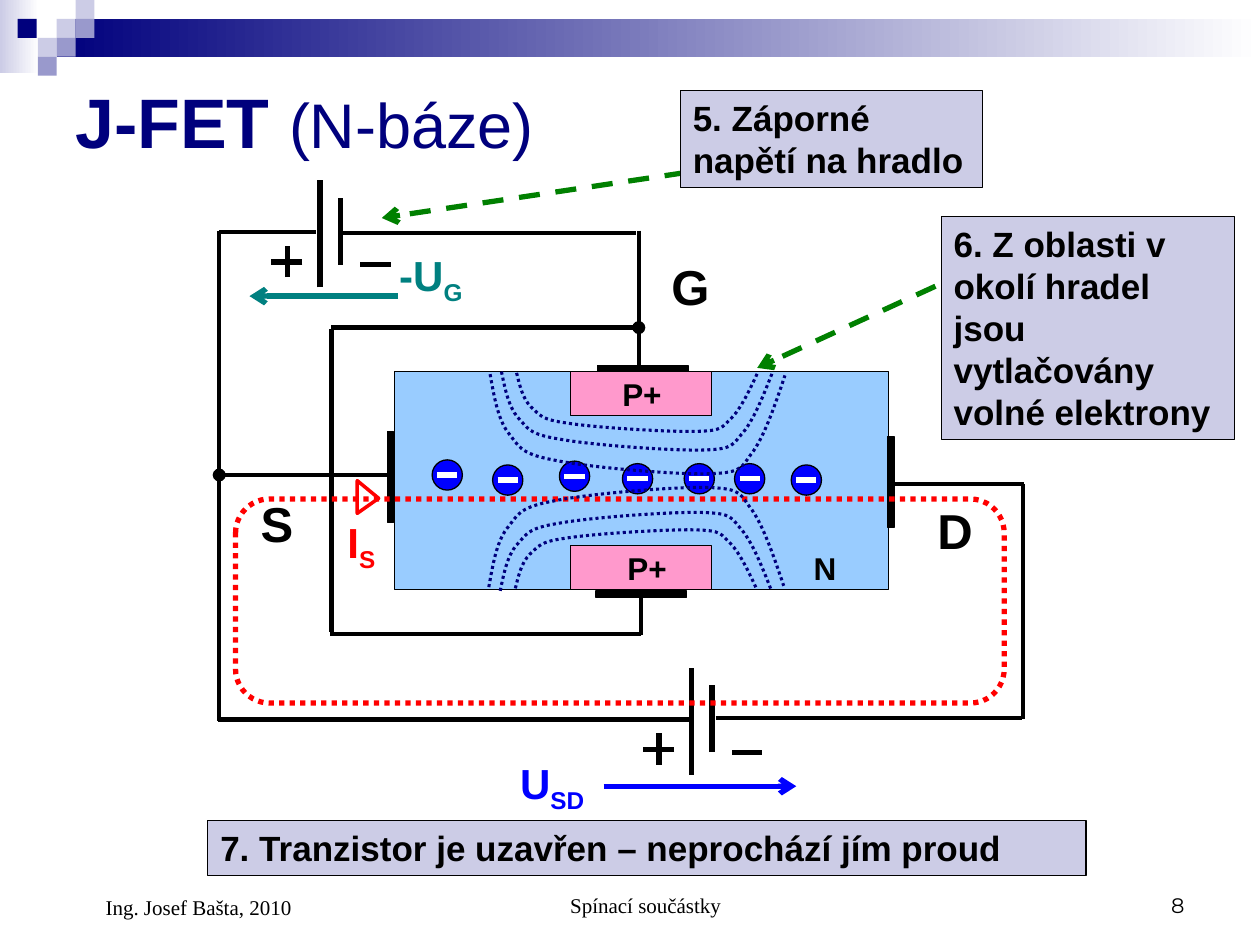
"""Build the slide about the closed N-base J-FET transistor."""
from lxml.etree import SubElement
from pptx import Presentation
from pptx.dml.color import RGBColor
from pptx.enum.dml import MSO_LINE
from pptx.enum.shapes import MSO_CONNECTOR, MSO_SHAPE
from pptx.enum.text import MSO_ANCHOR, MSO_AUTO_SIZE, PP_ALIGN
from pptx.oxml.ns import qn
from pptx.util import Inches, Pt

BLACK, WHITE, NAVY, LILAC, VIOLET = "000000", "FFFFFF", "00007D", "CCCCE6", "9999CC"
RED, BLUE, TEAL, GREEN, SKY, PINK = "FF0000", "0000FF", "008080", "008000", "99CCFF", "FF99CC"

FADES = [((0, 0, 0.31, 0.58), LILAC), ((0.45, 0.15, 9.55, 0.3), NAVY)]
MOSAIC_CELL = 0.15
MOSAIC = [(0.45, 0.15, LILAC), (0.6, 0, LILAC), (0.6, 0.15, VIOLET), (0.3, 0.3, LILAC),
          (0.14, 0.15, NAVY), (0.45, 0.3, VIOLET), (0.3, 0.45, VIOLET)]
TRANSISTOR = [
    ((3.13, 2.95, 3.92, 1.73), SKY),
    ((4.53, 4.33, 1.12, 0.35), PINK),
    ((4.53, 2.95, 1.12, 0.35), PINK),
    ((4.73, 4.69, 0.72, 0.05), BLACK),
    ((4.74, 2.9, 0.72, 0.05), BLACK),
]
SIDE_CONTACTS = [(2.74, 3.76, 0.72, 0.05), (6.71, 3.8, 0.72, 0.05)]
WIRES = [
    (3.1, 3.77, 1.73, 3.77), (8.13, 3.84, 7.04, 3.84), (5.07, 1.83, 5.07, 2.93),
    (5.09, 5.03, 2.62, 5.03), (5.09, 4.73, 5.09, 5.04), (2.63, 2.61, 2.63, 5.02),
    (1.73, 5.71, 5.49, 5.71), (5.68, 5.7, 8.11, 5.7), (8.12, 5.71, 8.12, 3.84),
    (1.74, 5.72, 1.74, 3.77), (2.72, 1.85, 5.05, 1.85), (1.74, 1.84, 2.51, 1.84),
]
NODE_WIRES = [(5.07, 2.6, 2.63, 2.6), (1.74, 3.77, 1.74, 1.83)]
BATTERY_ORIGINS = [(2.54, 1.43), (5.49, 5.3)]
BATTERY = [(0, 0.85, 0, 0), (0.16, 0.67, 0.16, 0.14), (-0.14, 0.65, -0.39, 0.65),
           (-0.26, 0.77, -0.26, 0.52), (0.32, 0.67, 0.56, 0.67)]
VOLTAGE_ARROWS = [((4.79, 6.24, 6.32, 6.24), BLUE), ((3.16, 2.35, 1.98, 2.35), TEAL)]
LABELS = [
    ((6.36, 4.31, 0.36, 0.4), "N", "", 18, BLACK),
    ((4.88, 4.31, 0.58, 0.4), "P+", "", 18, BLACK),
    ((4.84, 2.93, 0.58, 0.4), "P+", "", 18, BLACK),
    ((1.97, 3.87, 0.45, 0.57), "S", "", 28, BLACK),
    ((5.23, 1.99, 0.45, 0.57), "G", "", 28, BLACK),
    ((7.34, 3.92, 0.45, 0.57), "D", "", 28, BLACK),
    ((4.03, 5.96, 0.81, 0.56), "U", "SD", 24, BLUE),
    ((2.66, 4.05, 0.53, 0.56), "I", "S", 24, RED),
    ((3.07, 1.93, 0.81, 0.56), "-U", "G", 24, TEAL),
]
ELECTRON = 0.24
ELECTRONS = [(4.44, 3.66), (4.94, 3.68), (5.43, 3.68), (5.83, 3.68),
             (3.91, 3.69), (6.28, 3.69), (3.43, 3.65)]
FIELD_SIZE = (2.34, 0.8)
FIELD_CURVE = [(0, 0), (0.03, 0.17), (0.06, 0.35), (0.14, 0.46), (0.23, 0.57), (0.23, 0.63),
               (0.5, 0.68), (0.77, 0.74), (1.49, 0.8), (1.75, 0.79), (2.01, 0.78),
               (1.99, 0.74), (2.09, 0.61), (2.18, 0.48), (2.26, 0.25), (2.34, 0.01)]
FIELDS = [
    ((4.1, 2.96, 1.91, 0.47), False), ((4.09, 4.2, 1.91, 0.47), True),
    ((3.98, 2.95, 2.15, 0.63), False), ((3.97, 4.06, 2.15, 0.63), True),
    ((3.89, 2.97, 2.34, 0.8), False), ((3.88, 3.86, 2.34, 0.8), True),
]
POINTERS = [(5.44, 1.37, 3.03, 1.73), (7.69, 2.15, 6.01, 2.92)]
NOTES = [
    ((5.4, 0.72, 2.4, 0.77), "5. Záporné napětí na hradlo"),
    ((7.47, 1.72, 2.33, 1.77), "6. Z oblasti v okolí hradel jsou vytlačovány volné elektrony"),
    ((1.65, 6.51, 6.97, 0.44), "7. Tranzistor je uzavřen – neprochází jím proud"),
]
FOOTERS = [
    ((3.42, 6.83, 3.17, 0.5), "Spínací součástky", "Times New Roman", PP_ALIGN.CENTER, 0.24),
    ((7.17, 6.83, 2.33, 0.5), "8", "Montserrat", PP_ALIGN.RIGHT, 0),
    ((0.5, 6.83, 2.33, 0.52), "Ing. Josef Bašta, 2010", "Times New Roman", PP_ALIGN.LEFT, 0.24),
]


def rgb(color):
    return RGBColor.from_string(color)


def stroke(shape, color, width, dash=None):
    shape.line.color.rgb = rgb(color)
    shape.line.width = Pt(width)
    if dash:
        shape.line.dash_style = dash


def add_box(place, fill=None, line=None, width=0.75, kind=MSO_SHAPE.RECTANGLE, dash=None):
    box = slide.shapes.add_shape(kind, *map(Inches, place))
    box.shadow.inherit = False
    if fill:
        box.fill.solid()
        box.fill.fore_color.rgb = rgb(fill)
    else:
        box.fill.background()
    if line:
        stroke(box, line, width, dash)
    else:
        box.line.fill.background()
    return box


def add_line(ends, color=BLACK, width=2.5, dash=None, head=None, tail=None):
    line = slide.shapes.add_connector(MSO_CONNECTOR.STRAIGHT, *map(Inches, ends))
    SubElement(line._element.spPr, qn("a:effectLst"))
    stroke(line, color, width, dash)
    for tag, tip in (("a:headEnd", head), ("a:tailEnd", tail)):
        if tip:
            SubElement(line.line._get_or_add_ln(), qn(tag), type=tip)


def style(font, size, color, bold=True, name="Arial"):
    font.name, font.size, font.bold = name, Pt(size), bold
    font.color.rgb = rgb(color)


def add_text(place, wrap=True, anchor=MSO_ANCHOR.TOP, fit=MSO_AUTO_SIZE.NONE):
    frame = slide.shapes.add_textbox(*map(Inches, place)).text_frame
    frame.word_wrap, frame.vertical_anchor, frame.auto_size = wrap, anchor, fit
    return frame.paragraphs[0]


def add_field(place, flipped):
    left, top, width, height = place
    points = []
    for x, y in FIELD_CURVE:
        depth = y / FIELD_SIZE[1]
        points.append((Inches(left + width * x / FIELD_SIZE[0]),
                       Inches(top + height * (1 - depth if flipped else depth))))
    builder = slide.shapes.build_freeform(*points[0])
    builder.add_line_segments(points[1:], close=False)
    field = builder.convert_to_shape()
    segments = list(field._element.iter(qn("a:lnTo")))
    outline = segments[0].getparent()
    for start in range(0, len(segments), 3):
        curve = SubElement(outline, qn("a:cubicBezTo"))
        for segment in segments[start:start + 3]:
            curve.append(segment[0])
            outline.remove(segment)
    field.shadow.inherit = False
    field.fill.background()
    stroke(field, NAVY, 1.75, MSO_LINE.ROUND_DOT)


deck = Presentation()
deck.slide_width, deck.slide_height = Inches(10), Inches(7.5)
slide = deck.slides.add_slide(deck.slide_layouts[6])

for place, color in FADES:
    fade = add_box(place)
    fade.fill.gradient()
    fade.fill.gradient_angle = 180
    for stop, shade in zip(fade.fill.gradient_stops, (WHITE, color)):
        stop.color.rgb = rgb(shade)
for left, top, color in MOSAIC:
    add_box((left, top, MOSAIC_CELL, MOSAIC_CELL), color)

title = add_text((0.5, 0.55, 9, 0.82), anchor=MSO_ANCHOR.MIDDLE)
for words, size, bold in (("J-FET ", 40, True), ("(N-báze)", 36, False)):
    run = title.add_run()
    run.text = words
    style(run.font, size, NAVY, bold)

for place, color in TRANSISTOR:
    add_box(place, color, BLACK)
for place in SIDE_CONTACTS:
    add_box(place, BLACK, BLACK).rotation = 90
for ends in WIRES:
    add_line(ends)
for ends in NODE_WIRES:
    add_line(ends, head="oval")
for x, y in BATTERY_ORIGINS:
    for x1, y1, x2, y2 in BATTERY:
        add_line((x + x1, y + y1, x + x2, y + y2), width=3)
for ends, color in VOLTAGE_ARROWS:
    add_line(ends, color, 3, tail="arrow")
for place, symbol, index, size, color in LABELS:
    label = add_text(place, wrap=False, fit=MSO_AUTO_SIZE.SHAPE_TO_FIT_TEXT)
    style(label.font, size, color)
    label.add_run().text = symbol
    if index:
        subscript = label.add_run()
        subscript.text = index
        subscript._r.get_or_add_rPr().set("baseline", "-25000")

current_arrow = add_box((2.79, 3.86, 0.26, 0.17), None, RED, 2, MSO_SHAPE.ISOSCELES_TRIANGLE)
current_arrow.rotation = 90
current_arrow.adjustments[0] = 0.54
add_box((1.87, 3.96, 6.1, 1.62), None, RED, 3, MSO_SHAPE.ROUNDED_RECTANGLE, MSO_LINE.ROUND_DOT)
for x, y in ELECTRONS:
    add_box((x, y, ELECTRON, ELECTRON), BLUE, BLACK, kind=MSO_SHAPE.OVAL)
    add_line((x + 0.04, y + ELECTRON / 2, x + 0.2, y + ELECTRON / 2), WHITE, 3)
for place, flipped in FIELDS:
    add_field(place, flipped)

for ends in POINTERS:
    add_line(ends, GREEN, 3, MSO_LINE.DASH, tail="arrow")
for place, words in NOTES:
    frame = add_box(place, LILAC, BLACK).text_frame
    frame.word_wrap, frame.vertical_anchor = True, MSO_ANCHOR.TOP
    frame.auto_size = MSO_AUTO_SIZE.SHAPE_TO_FIT_TEXT
    note = frame.paragraphs[0]
    note.text, note.alignment = words, PP_ALIGN.LEFT
    style(note.font, 20, BLACK)

for place, words, face, align, indent in FOOTERS:
    footer = add_text(place, anchor=MSO_ANCHOR.BOTTOM)
    footer.text, footer.alignment = words, align
    if indent:
        footer._p.get_or_add_pPr().set("marL", str(Inches(indent)))
    style(footer.font, 12, BLACK, False, face)

deck.save("out.pptx")
